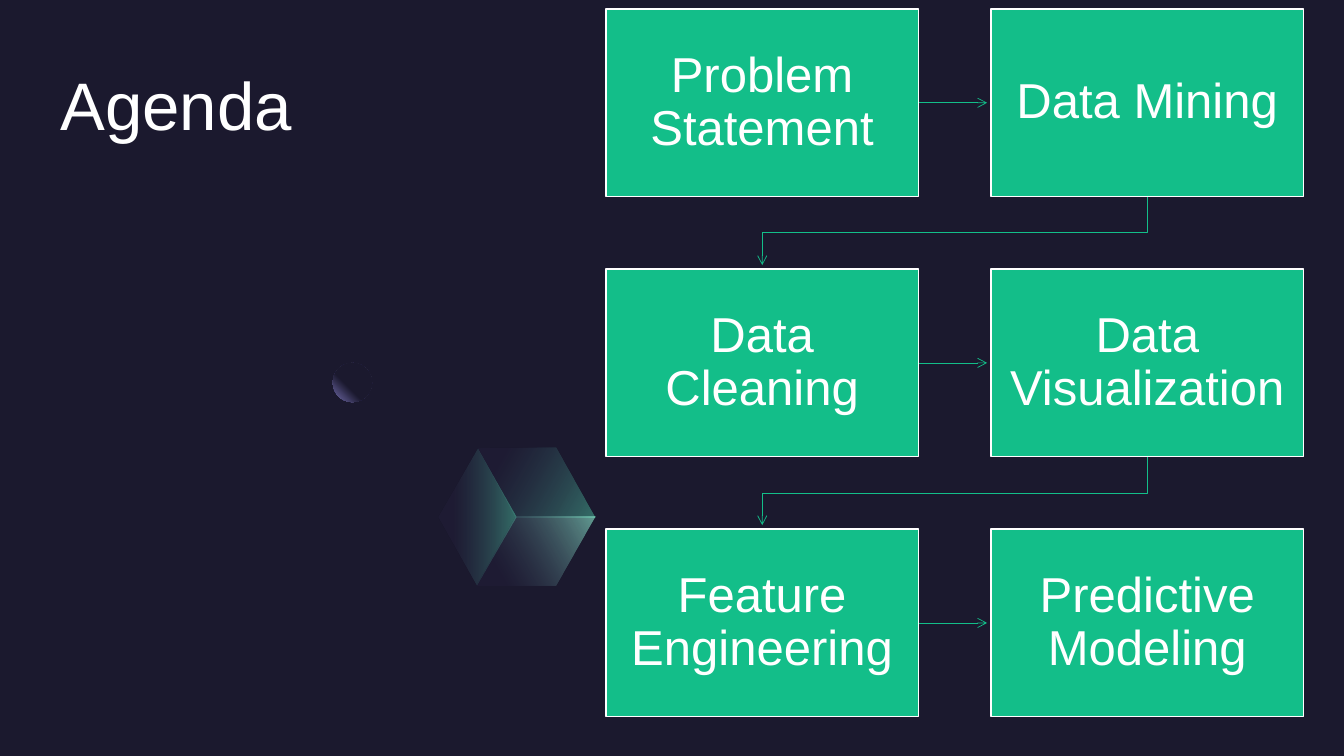
from lxml.etree import SubElement, fromstring
from pptx import Presentation
from pptx.dml.color import RGBColor
from pptx.enum.shapes import MSO_CONNECTOR as Link, MSO_SHAPE as Preset
from pptx.enum.text import MSO_ANCHOR as Anchor, PP_ALIGN as Align
from pptx.oxml.ns import nsdecls, qn
from pptx.util import Inches, Pt

COLORS = {
    "night": "1B192E", "white": "FFFFFF", "green": "13BE89", "violet": "7771B2",
    "indigo": "2C284A", "mint": "5BEFC1", "pale mint": "92F4D6",
}
RGB = {name: RGBColor.from_string(value) for name, value in COLORS.items()}


def write(shape, text, size, align=Align.LEFT, anchor=Anchor.TOP, inset=(0, 0), spacing=1.0):
    frame = shape.text_frame
    frame.word_wrap = True
    frame.vertical_anchor = anchor
    frame.margin_left = frame.margin_right = Inches(inset[0])
    frame.margin_top = frame.margin_bottom = Inches(inset[1])
    paragraph = frame.paragraphs[0]
    paragraph.text = text
    paragraph.alignment = align
    paragraph.line_spacing = spacing
    paragraph.font.size = Pt(size)
    paragraph.font.name = "Arial"
    paragraph.font.color.rgb = RGB["white"]


def shade(shape, stops, direction):
    """Fill with a gradient; each stop is position %, colour name, opacity %."""
    marks = "".join(
        f'<a:gs pos="{position * 1000}"><a:srgbClr val="{COLORS[name]}">'
        f'<a:alpha val="{opacity * 1000}"/></a:srgbClr></a:gs>'
        for position, name, opacity in stops)
    gradient = fromstring(f'<a:gradFill {nsdecls("a")} rotWithShape="1">'
                          f'<a:gsLst>{marks}</a:gsLst>{direction}</a:gradFill>')
    shape.line.fill.background()
    shape.shadow.inherit = False
    shape.fill.background()
    no_fill = shape._element.spPr.find(qn("a:noFill"))
    no_fill.getparent().replace(no_fill, gradient)


deck = Presentation()
deck.slide_width, deck.slide_height = Inches(13.33), Inches(7.5)
slide = deck.slides.add_slide(deck.slide_layouts[6])
shapes = slide.shapes
slide.background.fill.solid()
slide.background.fill.fore_color.rgb = RGB["night"]

# Title
title = shapes.add_textbox(Inches(0.6), Inches(0.63), Inches(5.95), Inches(2.18))
write(title, "Agenda", 48)

# Small sphere, lit from the lower left
sphere = shapes.add_shape(Preset.OVAL, Inches(3.3), Inches(3.6), Inches(0.39), Inches(0.39))
shade(sphere, [(60, "night", 100), (100, "violet", 100)],
      '<a:path path="circle"><a:fillToRect l="100000" b="100000"/></a:path>')

# Cube: three faces meeting at its centre
centre, right = (5.12, 5.13), (5.91, 5.13)
top_left, bottom_left = (4.74, 4.45), (4.73, 5.81)
faces = [
    ([(5.52, 4.44), top_left, centre, right], "mint", 40, 30),
    ([bottom_left, (4.35, 5.13), top_left, centre], "mint", 40, 0),
    ([right, (5.52, 5.81), bottom_left, centre], "pale mint", 60, 330),
]
for corners, glow, opacity, angle in faces:
    points = [(Inches(x), Inches(y)) for x, y in corners]
    outline = shapes.build_freeform(*points[0])
    outline.add_line_segments(points[1:])
    shade(outline.convert_to_shape(), [(20, "indigo", 20), (100, glow, opacity)],
          f'<a:lin ang="{angle * 60000}" scaled="0"/>')

# Agenda steps on a grid of two columns
steps = ["Problem Statement", "Data Mining", "Data Cleaning",
         "Data Visualization", "Feature Engineering", "Predictive Modeling"]
LEFT, TOP, COLUMN, ROW = Inches(6.01), Inches(0.09), Inches(3.82), Inches(2.58)
WIDTH, HEIGHT, TIP_GAP = Inches(3.1), Inches(1.86), Inches(0.04)

for index, step in enumerate(steps):
    row, column = divmod(index, 2)
    x, y = LEFT + column * COLUMN, TOP + row * ROW

    # Arrow to the next step: straight across, or bent down to the next row
    arrow = None
    if column == 0:
        middle = y + HEIGHT // 2
        arrow = shapes.add_connector(Link.STRAIGHT, x + WIDTH, middle,
                                     x + COLUMN - TIP_GAP, middle)
    elif index < len(steps) - 1:
        start, end = x + WIDTH // 2, LEFT + WIDTH // 2
        bend = y + (HEIGHT + ROW) // 2
        route = shapes.build_freeform(start, y + HEIGHT)
        route.add_line_segments([(start, bend), (end, bend), (end, y + ROW - TIP_GAP)],
                                close=False)
        arrow = route.convert_to_shape()
        arrow.fill.background()
    if arrow is not None:
        arrow.line.color.rgb = RGB["green"]
        arrow.line.width = Pt(0.5)
        SubElement(arrow.line._get_or_add_ln(), qn("a:tailEnd"), type="arrow")
        SubElement(arrow._element.spPr, qn("a:effectLst"))

    box = shapes.add_shape(Preset.RECTANGLE, x, y, WIDTH, HEIGHT)
    box.shadow.inherit = False
    box.fill.solid()
    box.fill.fore_color.rgb = RGB["green"]
    box.line.color.rgb = RGB["white"]
    box.line.width = Pt(1)
    write(box, step, 35, align=Align.CENTER, anchor=Anchor.MIDDLE,
          inset=(0.15, 0.16), spacing=0.9)

deck.save("out.pptx")
